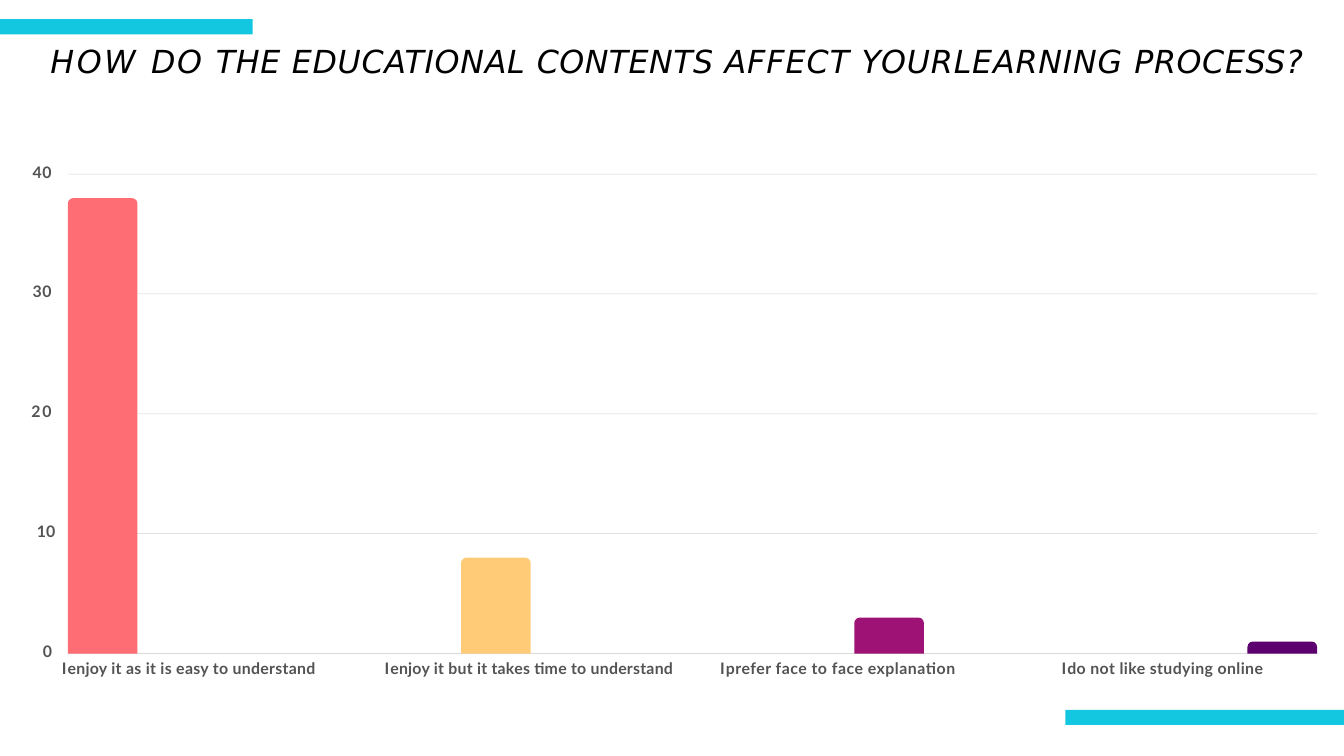
from dataclasses import dataclass

import pptx
import pptx.dml.color
import pptx.enum.shapes
import pptx.enum.text
import pptx.oxml.ns
import pptx.util
import lxml.etree

Pt = pptx.util.Pt
SHAPE = pptx.enum.shapes.MSO_SHAPE

LEFT, RIGHT, BASE = 72.7, 1411.2, 700.2
UNIT = 12.84
BAR_W, ROUND = 74.6, 5.8
GREY, CYAN = "535353", "12C7DF"
LABEL = {"name": "Lato", "size": Pt(17), "bold": True}
TITLE = {"name": "DejaVu Sans", "size": Pt(34), "italic": True}


@dataclass
class Run:
    text: str
    track: float


@dataclass
class Bar:
    value: int
    color: str
    left: float
    width: float
    rest: Run


@dataclass
class Tick:
    value: int
    left: float
    runs: list[Run]


BARS = [
    Bar(38, "FE6D73", 66.2, 285, Run("enjoy it as it is easy to understand", 0.3)),
    Bar(8, "FFCB77", 412, 320, Run("enjoy it but it takes time to understand", 0.25)),
    Bar(3, "9D1274", 771.6, 286, Run("prefer face to face explanation", 0.5)),
    Bar(1, "5D006F", 1137.4, 247, Run("do not like studying online", 0.4)),
]
TICKS = [
    Tick(0, 45.8, [Run("0", 1.6)]),
    Tick(10, 39.4, [Run("1", -3.8), Run("0", 1.6)]),
    Tick(20, 33.6, [Run("2", 2), Run("0", 1.6)]),
    Tick(30, 35, [Run("3", 0.5), Run("0", 1.6)]),
    Tick(40, 35, [Run("4", 0.6), Run("0", 1.6)]),
]
HEAD = [
    Run("HOW ", 2.8),
    Run("DO ", 1.9),
    Run("THE EDUCATIONAL ", 0.8),
    Run("CONTENTS ", 0.5),
    Run("AFFECT ", 1.1),
    Run("YOURLEARNING ", 0.9),
    Run("PROCESS?", 0.7),
]


def rgb(code: str) -> pptx.dml.color.RGBColor:
    return pptx.dml.color.RGBColor.from_string(code)


def height(value: float) -> float:
    """Give the slide position of a value on the vertical axis."""
    return BASE - value * UNIT


def add_text(slide, left: float, top: float, width: float, tall: float,
             runs: list[Run], style: dict, color: str) -> None:
    box = slide.shapes.add_textbox(Pt(left), Pt(top), Pt(width), Pt(tall))
    frame = box.text_frame
    form = {"margin_left": 0, "margin_right": 0, "margin_bottom": 0,
            "margin_top": Pt(1.2), "word_wrap": True,
            "vertical_anchor": pptx.enum.text.MSO_ANCHOR.TOP}
    for key, item in form.items():
        setattr(frame, key, item)
    para = frame.paragraphs[0]
    para.space_before = Pt(1.1)
    for part in runs:
        run = para.add_run()
        run.text = part.text
        for key, item in style.items():
            setattr(run.font, key, item)
        run.font.color.rgb = rgb(color)
        run.font._element.set("spc", str(round(part.track * 100)))


def add_block(slide, kind, left: float, top: float, width: float, tall: float,
              color: str):
    block = slide.shapes.add_shape(kind, Pt(left), Pt(top), Pt(width), Pt(tall))
    block.shadow.inherit = False
    block.fill.solid()
    block.fill.fore_color.rgb = rgb(color)
    block.line.fill.background()
    return block


def add_rule(slide, y: float, alpha: int) -> None:
    """Draw a grid line across the plot, alpha being its opacity in percent."""
    rule = slide.shapes.add_connector(
        pptx.enum.shapes.MSO_CONNECTOR.STRAIGHT, Pt(LEFT), Pt(y), Pt(RIGHT), Pt(y))
    rule.line.width = Pt(0.5)
    rule.line.color.rgb = rgb(GREY)
    props = rule._element.spPr
    tone = props.find(".//" + pptx.oxml.ns.qn("a:srgbClr"))
    fade = lxml.etree.SubElement(tone, pptx.oxml.ns.qn("a:alpha"))
    fade.set("val", str(alpha * 1000))
    lxml.etree.SubElement(props, pptx.oxml.ns.qn("a:effectLst"))


def add_bar(slide, bar: Bar, left: float) -> None:
    tall = bar.value * UNIT
    block = add_block(slide, SHAPE.ROUND_2_SAME_RECTANGLE, left,
                      height(bar.value), BAR_W, tall, bar.color)
    block.adjustments[0] = ROUND / min(BAR_W, tall)
    add_text(slide, bar.left, 705, bar.width, 22.3,
             [Run("I ", -3), bar.rest], LABEL, GREY)


def main() -> None:
    deck = pptx.Presentation()
    deck.slide_width, deck.slide_height = Pt(1440), Pt(810)
    slide = deck.slides.add_slide(deck.slide_layouts[6])

    for tick in TICKS:
        y = height(tick.value)
        add_rule(slide, y, 25 if tick.value else 60)
        add_text(slide, tick.left, y - 14, 27, 22.3, tick.runs, LABEL, GREY)

    step = (RIGHT - LEFT - BAR_W) / (len(BARS) - 1)
    for index, bar in enumerate(BARS):
        add_bar(slide, bar, LEFT + index * step)

    add_block(slide, SHAPE.RECTANGLE, 0, 20.6, 270.6, 16.3, CYAN)
    add_block(slide, SHAPE.RECTANGLE, 1141.4, 760.5, 298.6, 16.3, CYAN)
    add_text(slide, 54, 43.6, 1348, 42.5, HEAD, TITLE, "000000")
    deck.save("out.pptx")


if __name__ == "__main__":
    main()
